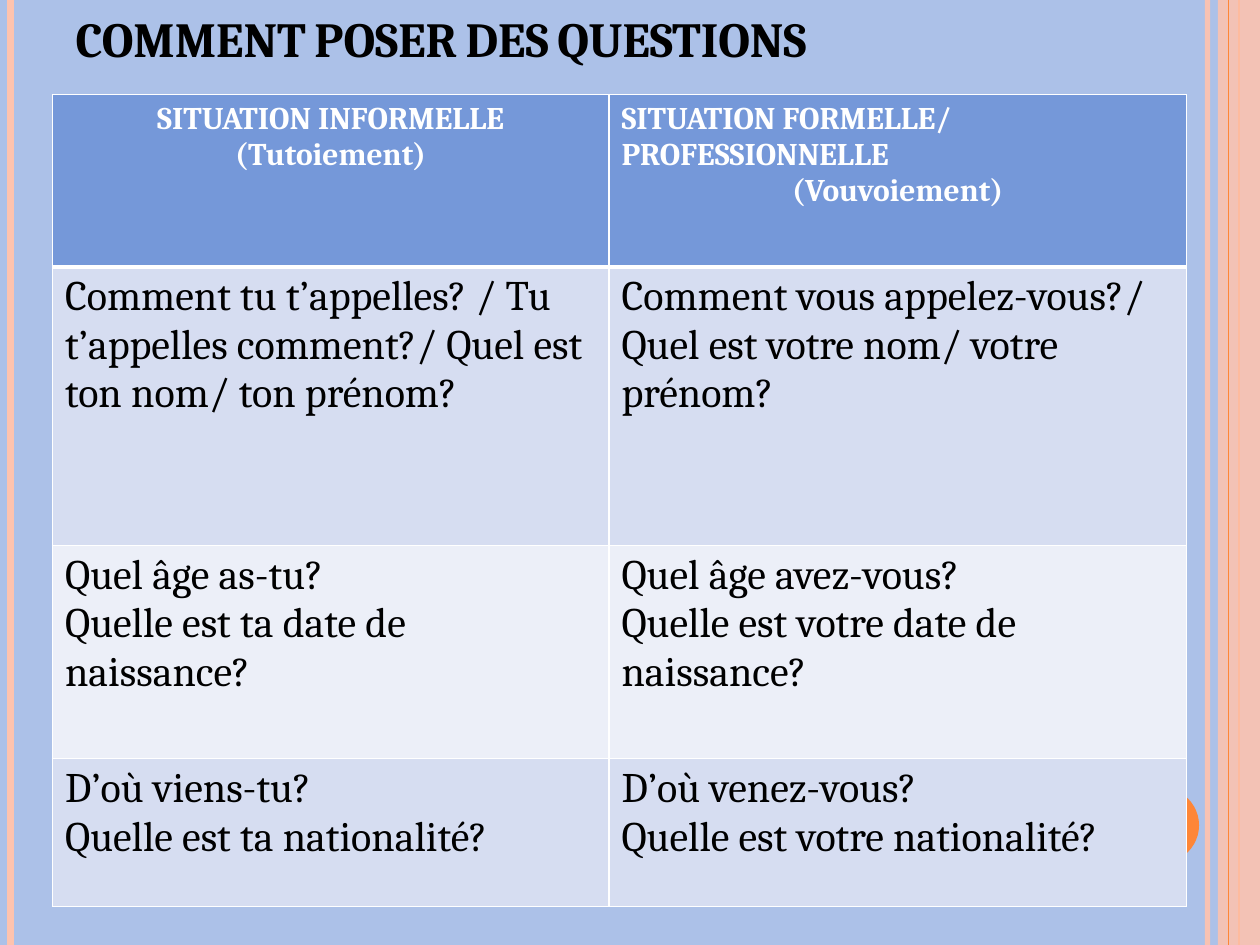
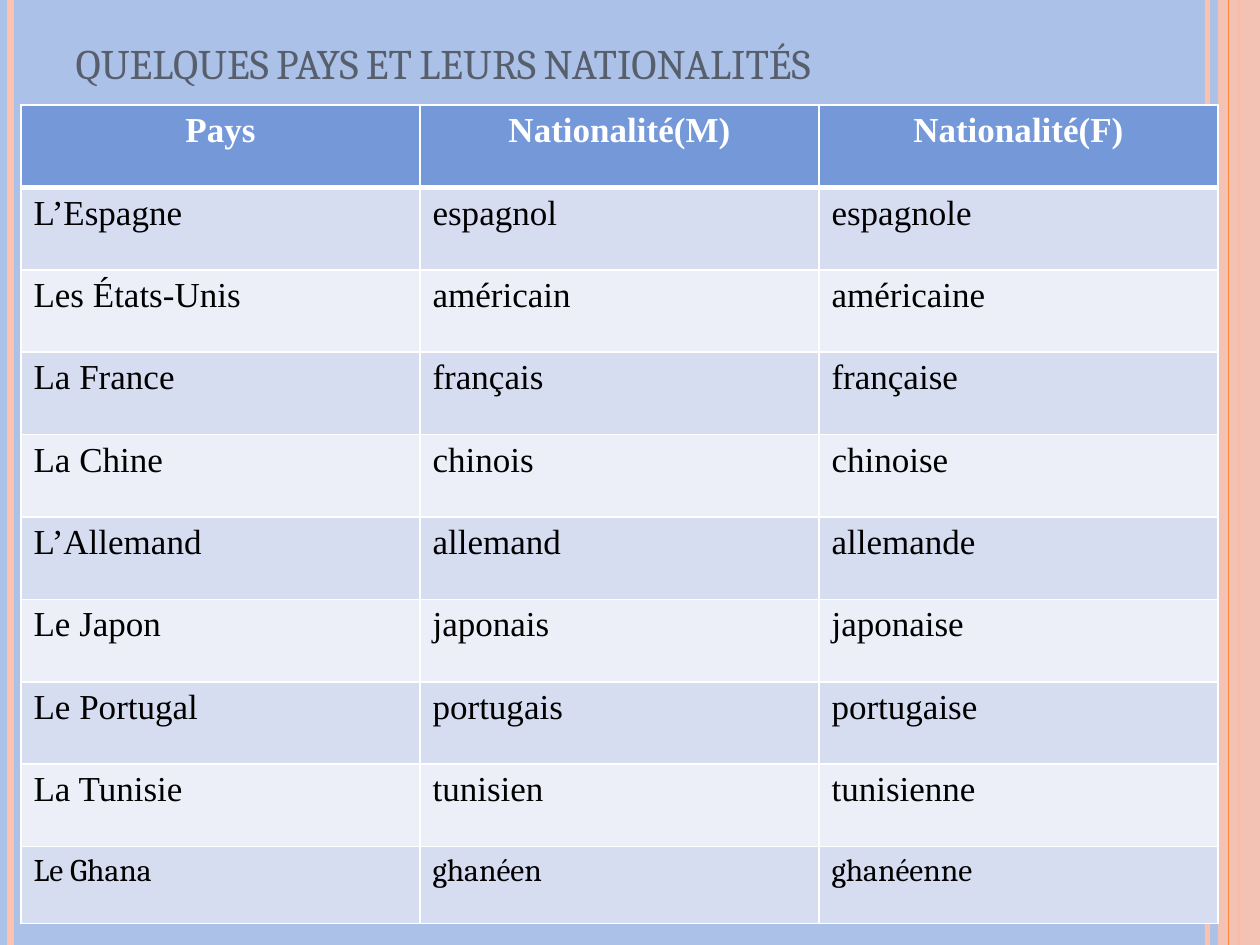
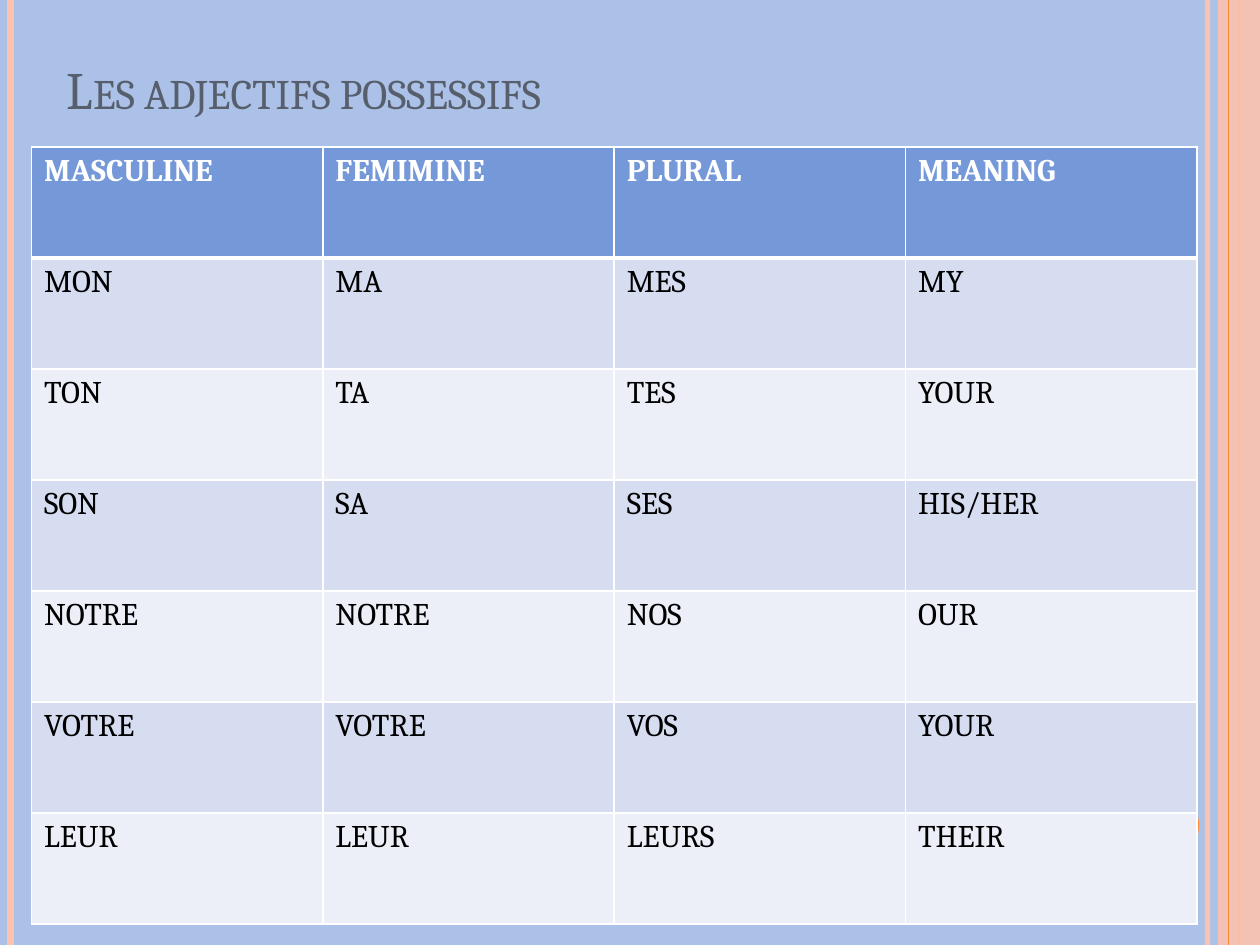
from dataclasses import dataclass

from lxml import etree
from pptx import Presentation
from pptx.dml.color import RGBColor
from pptx.enum.shapes import MSO_CONNECTOR, MSO_SHAPE
from pptx.enum.text import MSO_ANCHOR, MSO_AUTO_SIZE, PP_ALIGN
from pptx.oxml.ns import qn
from pptx.util import Pt

STRAIGHT = MSO_CONNECTOR.STRAIGHT
RECTANGLE, OVAL = MSO_SHAPE.RECTANGLE, MSO_SHAPE.OVAL
BOTTOM, NO_FIT = MSO_ANCHOR.BOTTOM, MSO_AUTO_SIZE.NONE
LEFT, CENTER = PP_ALIGN.LEFT, PP_ALIGN.CENTER
TITLE_ONLY = 5


@dataclass(frozen=True)
class Theme:
    background: str = "ACC1E8"
    peach: str = "FEC3AE"
    orange: str = "FE8637"
    slate: str = "575F6D"
    black: str = "000000"
    white: str = "FFFFFF"
    header: str = "7598D9"
    bands: tuple = ("D6DDF1", "ECEFF8")
    serif: str = "Cambria"
    roman: str = "Times New Roman"
    small: int = 18
    medium: int = 20
    large: int = 24
    strong_title: int = 28
    big_title: int = 30
    thin: int = 1
    thick: int = 3


THEME = Theme()
WIDTH, HEIGHT = 720, 540

QUESTION_HEADS = [
    [("SITUATION INFORMELLE", CENTER), ("(Tutoiement)", CENTER)],
    [("SITUATION FORMELLE/ PROFESSIONNELLE", LEFT), ("(Vouvoiement)", CENTER)],
]
QUESTIONS = [
    ["Comment tu t’appelles? / Tu t’appelles comment?/ Quel est ton nom/ ton prénom?",
     "Comment vous appelez-vous?/ Quel est votre nom/ votre prénom?"],
    ["Quel âge as-tu?\nQuelle est ta date de naissance?",
     "Quel âge avez-vous?\nQuelle est votre date de naissance?"],
    ["D’où viens-tu?\nQuelle est ta nationalité?",
     "D’où venez-vous?\nQuelle est votre nationalité?"],
]
COUNTRY_HEADS = [[(head, CENTER)] for head in ("Pays", "Nationalité(M)", "Nationalité(F)")]
COUNTRIES = [
    ["L’Espagne", "espagnol", "espagnole"],
    ["Les États-Unis", "américain", "américaine"],
    ["La France", "français", "française"],
    ["La Chine", "chinois", "chinoise"],
    ["L’Allemand", "allemand", "allemande"],
    ["Le Japon", "japonais", "japonaise"],
    ["Le Portugal", "portugais", "portugaise"],
    ["La Tunisie", "tunisien", "tunisienne"],
    ["Le Ghana", "ghanéen", "ghanéenne"],
]
POSSESSIVE_HEADS = [[(head, LEFT)] for head in ("MASCULINE", "FEMIMINE", "PLURAL", "MEANING")]
POSSESSIVES = [
    ["MON", "MA", "MES", "MY"],
    ["TON", "TA", "TES", "YOUR"],
    ["SON", "SA", "SES", "HIS/HER"],
    ["NOTRE", "NOTRE", "NOS", "OUR"],
    ["VOTRE", "VOTRE", "VOS", "YOUR"],
    ["LEUR", "LEUR", "LEURS", "THEIR"],
]


def text_format(size, name=THEME.serif, color=THEME.black, bold=False):
    return {"size": Pt(size), "name": name, "bold": bold, "color": color}


def style_font(font, values):
    for key, value in values.items():
        if key == "color":
            font.color.rgb = RGBColor.from_string(value)
        else:
            setattr(font, key, value)


def set_alpha(shape, percent):
    for color in shape._element.spPr.iter(qn("a:srgbClr")):
        etree.SubElement(color, qn("a:alpha")).set("val", str(percent * 1000))


def add_stripe(page, x, color, width):
    stripe = page.shapes.add_connector(STRAIGHT, Pt(x), Pt(0), Pt(x), Pt(HEIGHT))
    stripe.line.color.rgb = RGBColor.from_string(color)
    stripe.line.width = Pt(width)
    etree.SubElement(stripe._element.spPr, qn("a:effectLst"))
    return stripe


def add_plain_shape(page, kind, box, color):
    shape = page.shapes.add_shape(kind, *map(Pt, box))
    shape.shadow.inherit = False
    shape.fill.solid()
    shape.fill.fore_color.rgb = RGBColor.from_string(color)
    shape.line.fill.background()
    return shape


def build_master_frame(deck, page):
    inner = add_stripe(page, 690, THEME.peach, 3)
    left = add_stripe(page, 6, THEME.peach, 4.5)
    outer = add_stripe(page, 708, THEME.orange, 1.5)
    band = add_plain_shape(page, RECTANGLE, (696, 0, 24, HEIGHT), THEME.peach)
    middle = add_stripe(page, 702, THEME.orange, 0.75)
    disc = add_plain_shape(page, OVAL, (642, 450, 43.2, 43.2), THEME.orange)
    set_alpha(inner, 93)
    set_alpha(band, 87)
    master = deck.slide_master
    master.background.fill.solid()
    master.background.fill.fore_color.rgb = RGBColor.from_string(THEME.background)
    for part in (inner, left, outer, band, middle, disc):
        master.shapes._spTree.append(part._element)


def fill_title(page, box, text, values):
    title = page.shapes.title
    title.left, title.top, title.width, title.height = map(Pt, box)
    frame = title.text_frame
    frame.auto_size = NO_FIT
    frame.vertical_anchor = BOTTOM
    para = frame.paragraphs[0]
    para.alignment = LEFT
    span = para.add_run()
    span.text = text
    style_font(span.font, values)
    span._r.get_or_add_rPr().set("cap", "small")


def set_borders(cell, widths):
    properties = cell._tc.get_or_add_tcPr()
    for index, (side, width) in enumerate(widths.items()):
        edge = etree.Element(qn(f"a:ln{side}"), w=str(Pt(width)))
        fill = etree.SubElement(edge, qn("a:solidFill"))
        etree.SubElement(fill, qn("a:srgbClr"), val=THEME.white)
        properties.insert(index, edge)


def fill_cell(cell, lines, values, color):
    cell.fill.solid()
    cell.fill.fore_color.rgb = RGBColor.from_string(color)
    frame = cell.text_frame
    for index, (text, alignment) in enumerate(lines):
        para = frame.add_paragraph() if index else frame.paragraphs[0]
        para.alignment = alignment
        span = para.add_run()
        span.text = text
        style_font(span.font, values)


def add_lesson_table(page, box, columns, heights, heads, body, formats):
    rows = [heads] + [[[(line, LEFT) for line in text.split("\n")] for text in row]
                      for row in body]
    table = page.shapes.add_table(len(rows), len(columns), *map(Pt, box)).table
    for column, width in zip(table.columns, columns):
        column.width = Pt(width)
    for index, (row, height) in enumerate(zip(rows, heights)):
        table.rows[index].height = Pt(height)
        color = THEME.bands[(index - 1) % 2] if index else THEME.header
        widths = {"L": THEME.thin, "R": THEME.thin,
                  "T": THEME.thick if index == 1 else THEME.thin,
                  "B": THEME.thin if index else THEME.thick}
        for cell, lines in zip(table.rows[index].cells, row):
            fill_cell(cell, lines, formats[index], color)
            set_borders(cell, widths)


def build_questions(page):
    fill_title(page, (36, 12, 588, 30), "COMMENT POSER DES QUESTIONS",
               text_format(THEME.strong_title, bold=True))
    formats = [text_format(THEME.small, color=THEME.white, bold=True)]
    formats += [text_format(THEME.large)] * len(QUESTIONS)
    add_lesson_table(page, (30, 54, 648, 464), (318, 330), (98.5, 159.3, 121.8, 84.4),
                     QUESTION_HEADS, QUESTIONS, formats)


def build_countries(page):
    fill_title(page, (36, 12, 588, 42), "QUELQUES PAYS ET LEURS NATIONALITÉS",
               text_format(THEME.large, color=THEME.slate))
    formats = [text_format(THEME.medium, THEME.roman, THEME.white, True)]
    formats += [text_format(THEME.medium, THEME.roman)] * (len(COUNTRIES) - 1)
    formats.append(text_format(THEME.small))
    heights = [47.1] * len(COUNTRIES) + [44]
    add_lesson_table(page, (12, 60, 684, 468), [684 / 3] * 3, heights,
                     COUNTRY_HEADS, COUNTRIES, formats)


def build_possessives(page):
    fill_title(page, (31, 24, 588, 48), "Les adjectifs possessifs",
               text_format(THEME.big_title, color=THEME.slate))
    formats = [text_format(THEME.small, color=THEME.white, bold=True)]
    formats += [text_format(THEME.small)] * len(POSSESSIVES)
    count = len(formats)
    add_lesson_table(page, (18, 84, 666, 444), [666 / 4] * 4, [444 / count] * count,
                     POSSESSIVE_HEADS, POSSESSIVES, formats)


def main():
    deck = Presentation()
    deck.slide_width, deck.slide_height = Pt(WIDTH), Pt(HEIGHT)
    layout = deck.slide_layouts[TITLE_ONLY]
    builders = (build_questions, build_countries, build_possessives)
    pages = [deck.slides.add_slide(layout) for _ in builders]
    build_master_frame(deck, pages[0])
    for build, page in zip(builders, pages):
        build(page)
    deck.save("out.pptx")


if __name__ == "__main__":
    main()
